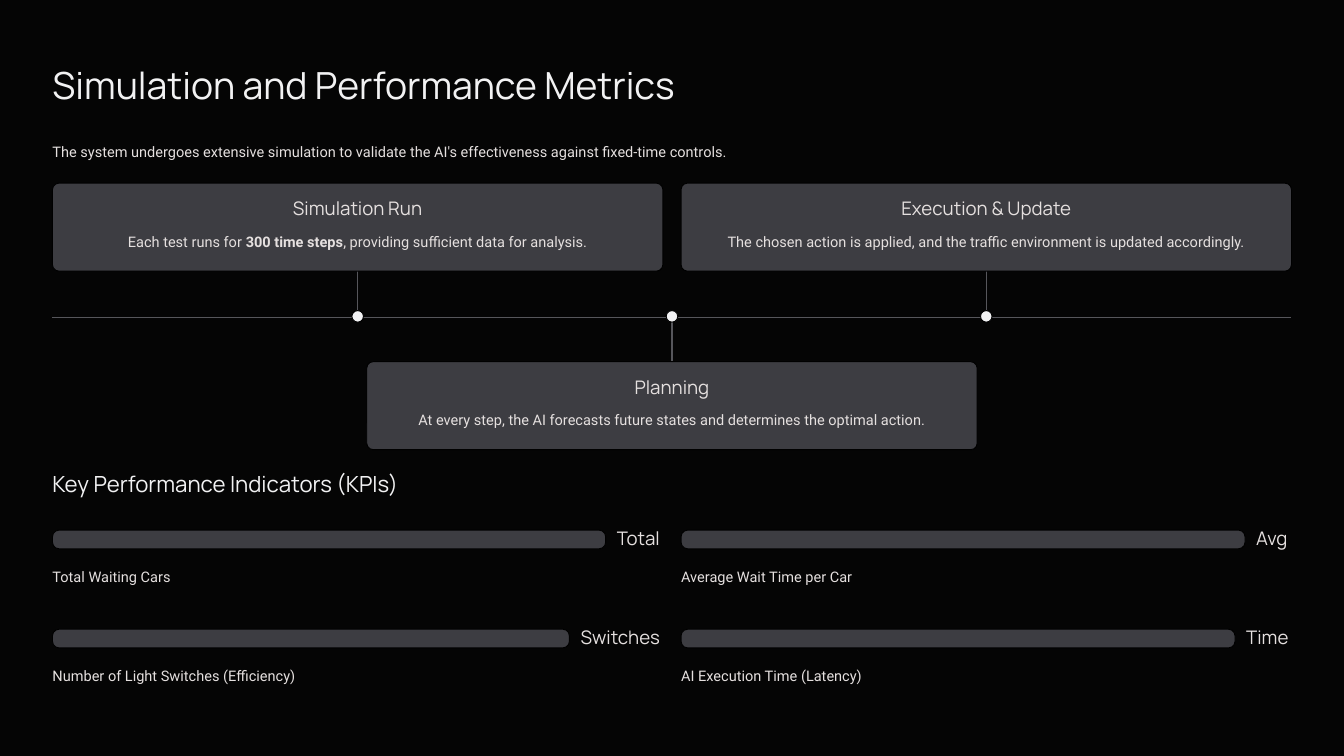
from typing import NamedTuple

from pptx import Presentation
from pptx.dml.color import RGBColor
from pptx.enum.shapes import MSO_CONNECTOR as Line, MSO_SHAPE as Kind
from pptx.enum.text import MSO_ANCHOR as Anchor, PP_ALIGN as Align
from pptx.oxml import parse_xml
from pptx.oxml.ns import nsdecls
from pptx.util import Pt

BLACK, DARK, GREY = "000000", "3D3D42", "56565B"
WHITE, PALE = "F2F2F3", "E5E0DF"
HEAD, BODY = "Manrope", "Roboto"
LEFT, WIDE, GAP = 56.25, 1327.5, 19.5
COL = (WIDE - GAP) / 2
STEP = (COL + GAP) / 2
MID = LEFT + WIDE / 2
RAIL, STEM, HIGH = 339, 48.5, 94.3
BAR, ROW, THICK, ROUND = 568, 106.2, 20, 7


class Card(NamedTuple):
    slot: int
    above: bool
    head: str
    body: list[str]


class Gauge(NamedTuple):
    col: int
    row: int
    width: float
    value: str
    label: str


CARDS = [
    Card(0, True, "Simulation Run",
         ["Each test runs for ", "300 time steps", ", providing sufficient data for analysis."]),
    Card(1, False, "Planning",
         ["At every step, the AI forecasts future states and determines the optimal action."]),
    Card(2, True, "Execution & Update",
         ["The chosen action is applied, and the traffic environment is updated accordingly."]),
]
GAUGES = [
    Gauge(0, 0, 592.7, "Total", "Total Waiting Cars"),
    Gauge(1, 0, 604.2, "Avg", "Average Wait Time per Car"),
    Gauge(0, 1, 553.8, "Switches", "Number of Light Switches (Efficiency)"),
    Gauge(1, 1, 593.5, "Time", "AI Execution Time (Latency)"),
]


def paint(fill, color: str) -> None:
    fill.solid()
    fill.fore_color.rgb = RGBColor.from_string(color)


def write(slide, parts: str | list[str], x: float, y: float, w: float, h: float, *,
          box=None, font: str = BODY, size: float = 15.6, lead: float = 25.6,
          color: str = PALE, align=Align.LEFT, wrap: bool = True) -> None:
    box = box or slide.shapes.add_textbox(0, 0, 0, 0)
    box.left, box.top, box.width, box.height = Pt(x), Pt(y), Pt(w), Pt(h)
    frame = box.text_frame
    frame.word_wrap = wrap
    frame.vertical_anchor = Anchor.TOP
    frame.margin_left = frame.margin_right = frame.margin_top = frame.margin_bottom = 0
    para = frame.paragraphs[0]
    para.alignment, para.line_spacing = align, Pt(lead)
    for i, part in enumerate([parts] if isinstance(parts, str) else parts):
        run = para.add_run()
        run.text = part
        run.font.name, run.font.size, run.font.bold = font, Pt(size), i % 2 == 1
        paint(run.font.fill, color)


def shape(slide, kind, x: float, y: float, w: float, h: float, color: str) -> None:
    item = slide.shapes.add_shape(kind, Pt(x), Pt(y), Pt(w), Pt(h))
    item.shadow.inherit = False
    paint(item.fill, color)
    paint(item.line.fill, BLACK)
    item.line.width = Pt(1)
    if kind == Kind.ROUNDED_RECTANGLE:
        item.adjustments[0] = ROUND / h


def rule(slide, x: float, y: float, end_x: float, end_y: float) -> None:
    line = slide.shapes.add_connector(Line.STRAIGHT, Pt(x), Pt(y), Pt(end_x), Pt(end_y))
    paint(line.line.fill, GREY)
    line.line.width = Pt(1.2)
    props = line._element.spPr
    props.append(parse_xml(f"<a:effectLst {nsdecls('a')}/>"))


def draw_card(slide, card: Card) -> None:
    x = MID + (card.slot - 1) * STEP
    left = LEFT + card.slot * STEP
    end = RAIL - STEM if card.above else RAIL + STEM
    top = end - HIGH if card.above else end
    rule(slide, x, RAIL, x, end)
    shape(slide, Kind.OVAL, x - 6.2, RAIL - 6.2, 12.4, 12.4, WHITE)
    shape(slide, Kind.ROUNDED_RECTANGLE, left, top, COL, HIGH, DARK)
    write(slide, card.head, left + 226, top + 14.2, COL - 452, 28,
          font=HEAD, size=20, lead=25, align=Align.CENTER)
    write(slide, card.body, left + 17, top + 46, COL - 34, 32, align=Align.CENTER)


def draw_gauge(slide, item: Gauge) -> None:
    left = LEFT + item.col * (COL + GAP)
    top = BAR + item.row * ROW
    gap = item.width + 12
    shape(slide, Kind.ROUNDED_RECTANGLE, left, top, item.width, THICK, DARK)
    write(slide, item.value, left + gap, top + 0.8, COL - gap, 19.5,
          font=HEAD, size=20, lead=20, wrap=False)
    write(slide, item.label, left, top + 34, COL, 32)


def main() -> None:
    deck = Presentation()
    deck.slide_width, deck.slide_height = Pt(1440), Pt(810)
    slide = deck.slides.add_slide(deck.slide_layouts[5])
    paint(slide.background.fill, "050505")
    write(slide, "Simulation and Performance Metrics", LEFT, 65, 724, 55.5,
          box=slide.shapes.title, font=HEAD, size=40, lead=50, color=WHITE)
    write(slide, "The system undergoes extensive simulation to validate the AI's "
          "effectiveness against fixed-time controls.", LEFT, 146.2, WIDE, 32)
    rule(slide, LEFT, RAIL + 1, LEFT + WIDE, RAIL + 1)
    for card in CARDS:
        draw_card(slide, card)
    write(slide, "Key Performance Indicators (KPIs)", LEFT, 502, 402, 34,
          font=HEAD, size=23.8, lead=30, color=WHITE)
    for item in GAUGES:
        draw_gauge(slide, item)
    deck.save("out.pptx")


if __name__ == "__main__":
    main()
